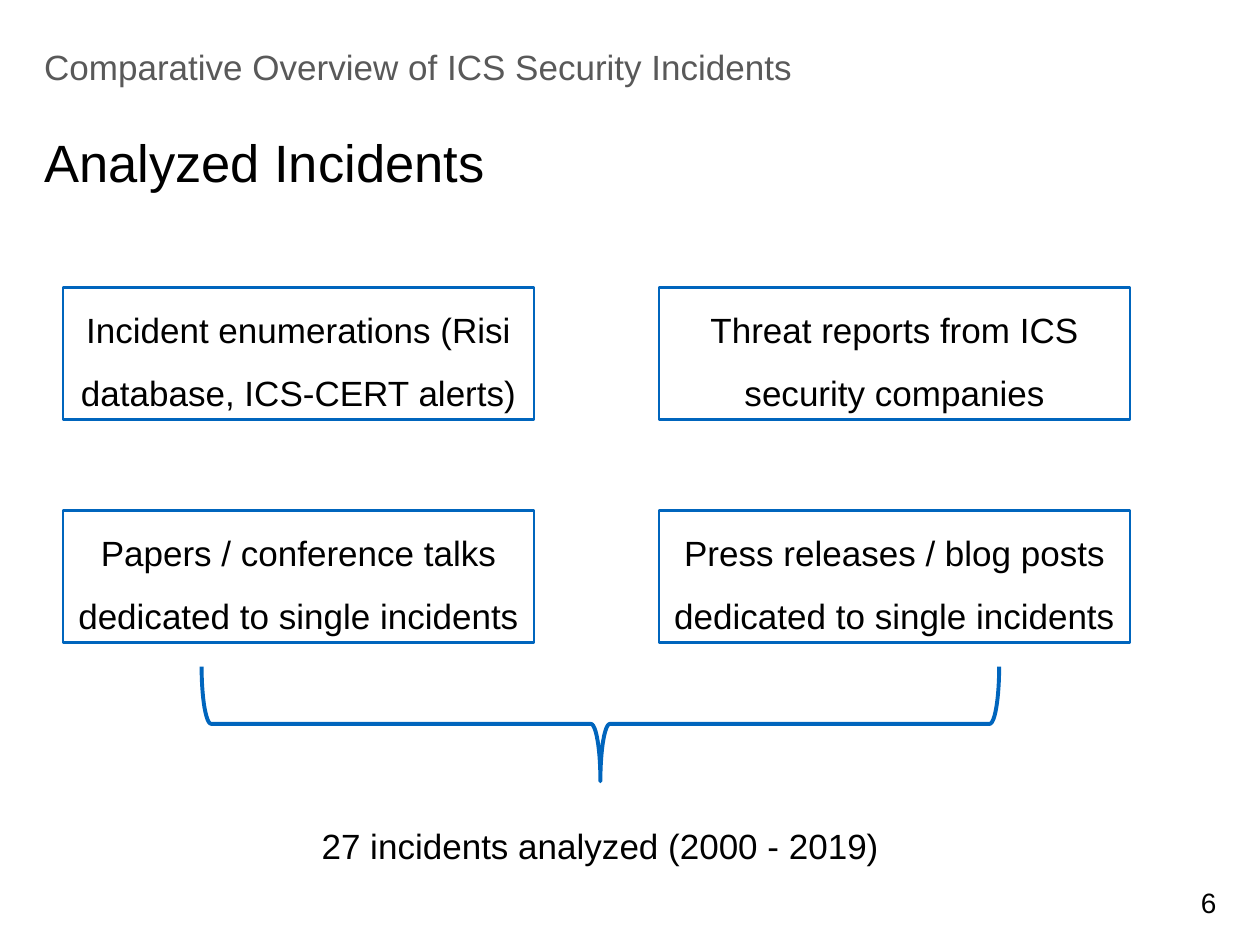
from pptx import Presentation
from pptx.dml.color import RGBColor
from pptx.enum import shapes, text
from pptx.util import Inches, Pt

FONT = "Arial"
BLACK, GREY, BLUE = "000000", "595959", "0065BD"
CENTER = text.PP_ALIGN.CENTER


def color(hex_value):
    return RGBColor.from_string(hex_value)


def write(shape, content, size=20, ink=BLACK, spacing=1.5, align=text.PP_ALIGN.LEFT, wrap=True):
    frame = shape.text_frame
    frame.text = content
    frame.word_wrap = wrap
    frame.vertical_anchor = text.MSO_ANCHOR.TOP
    frame.margin_left = frame.margin_top = frame.margin_right = frame.margin_bottom = 0
    paragraph = frame.paragraphs[0]
    paragraph.alignment = align
    paragraph.line_spacing = spacing
    font = paragraph.runs[0].font
    font.name, font.size = FONT, Pt(size)
    font.color.rgb = color(ink)


def add_text(slide, box, content, **style):
    write(slide.shapes.add_textbox(*map(Inches, box)), content, **style)


def add_outline(slide, kind, box, width):
    shape = slide.shapes.add_shape(kind, *map(Inches, box))
    shape.shadow.inherit = False
    shape.fill.background()
    shape.line.color.rgb = color(BLUE)
    shape.line.width = Pt(width)
    return shape


def add_header(slide, left, top, width):
    add_text(slide, (left, top, width, 0.41), "Comparative Overview of ICS Security Incidents",
             ink=GREY, spacing=Pt(32))
    add_text(slide, (left, top + 0.84, width, 0.45), "Analyzed Incidents",
             size=30, spacing=Pt(32))


def add_sources(slide, left, top, width, height):
    """Two by two grid of incident sources."""
    sources = [
        ["Incident enumerations (Risi database, ICS-CERT alerts)",
         "Threat reports from ICS security companies"],
        ["Papers / conference talks dedicated to single incidents",
         "Press releases / blog posts dedicated to single incidents"],
    ]
    box_width, box_height = 3.74, 1.05
    for row, labels in enumerate(sources):
        for column, label in enumerate(labels):
            box = (left + column * (width - box_width),
                   top + row * (height - box_height), box_width, box_height)
            shape = add_outline(slide, shapes.MSO_SHAPE.RECTANGLE, box, 1.5)
            write(shape, label, align=CENTER)


def add_summary(slide, left, top, width, height):
    """Brace that gathers the sources, with the total below it."""
    # The brace is drawn upright and turned about its centre
    upright = (left + (width - height) / 2, top + (height - width) / 2, height, width)
    brace = add_outline(slide, shapes.MSO_SHAPE.RIGHT_BRACE, upright, 2.25)
    brace.rotation = 90
    label_width = 4.71
    add_text(slide, (left + (width - label_width) / 2, top + 1.09, label_width, 0.55),
             "27 incidents analyzed (2000 - 2019)", align=CENTER)


def main():
    presentation = Presentation()
    presentation.slide_width, presentation.slide_height = Inches(10), Inches(7.5)
    slide = presentation.slides.add_slide(presentation.slide_layouts[6])

    add_header(slide, 0.35, 0.25, 9.31)
    add_sources(slide, 0.5, 2.28, 8.47, 2.82)
    add_summary(slide, 1.6, 5.29, 6.33, 0.91)

    # Page number
    add_text(slide, (9.53, 6.99, 0.12, 0.28), "6", size=16, spacing=1.14, wrap=False)

    presentation.save("out.pptx")


if __name__ == "__main__":
    main()
